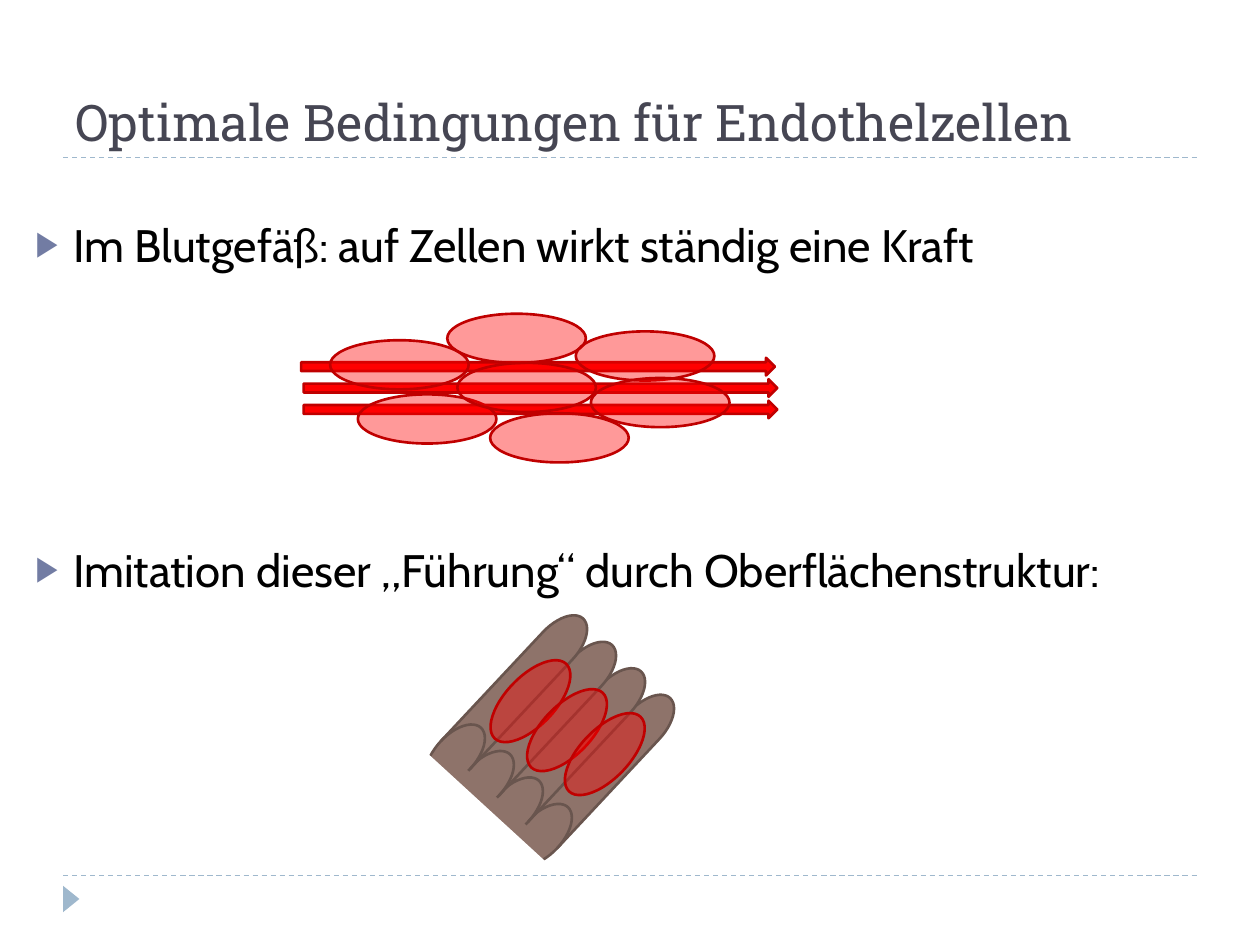
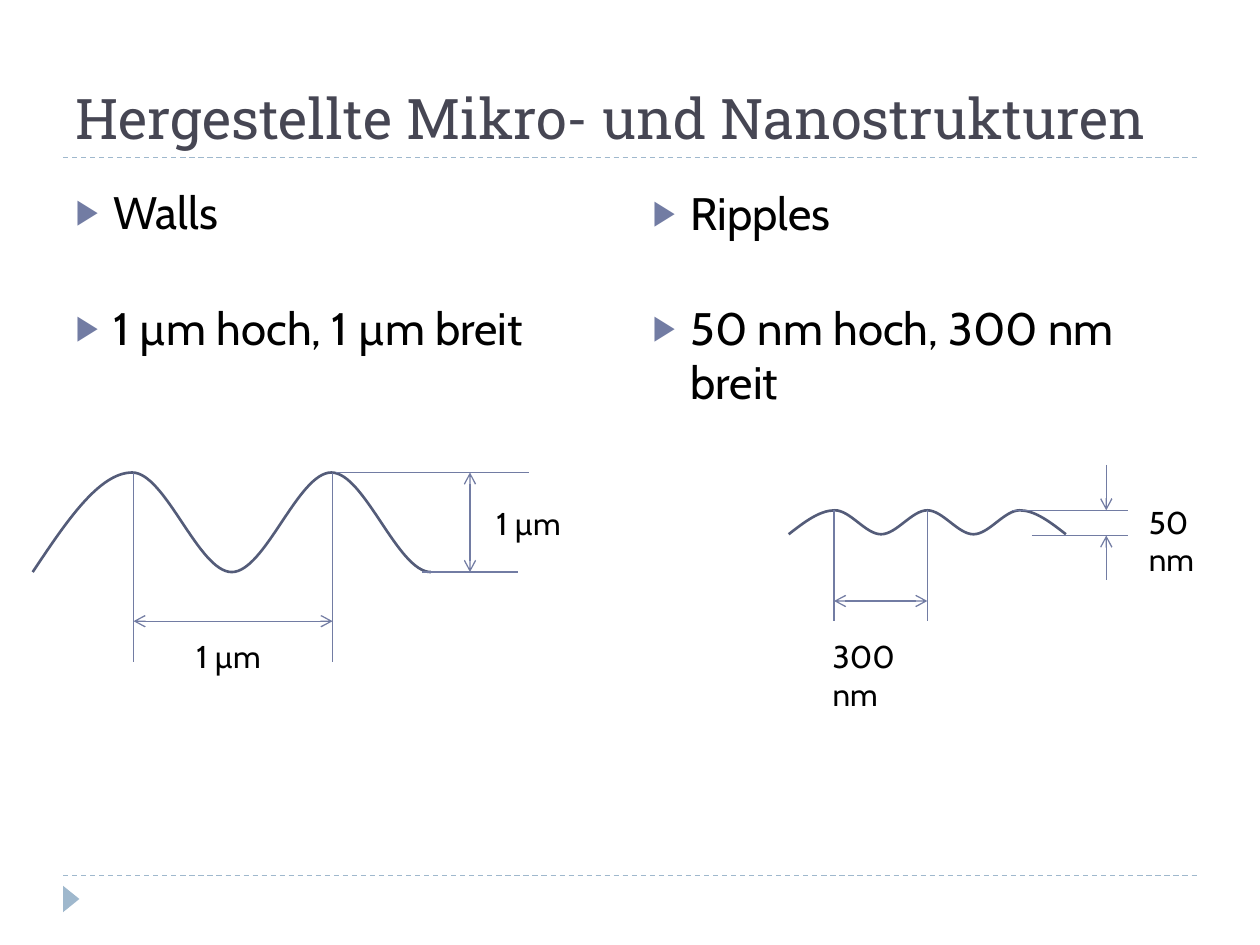
import pptx
import pptx.util
import pptx.dml.color
import pptx.enum.dml
import pptx.enum.shapes
import pptx.enum.text
import pptx.oxml
import pptx.oxml.ns

Inches, Pt = pptx.util.Inches, pptx.util.Pt
SHAPE = pptx.enum.shapes.MSO_SHAPE
ANCHOR = pptx.enum.text.MSO_ANCHOR
LEFT = pptx.enum.text.PP_ALIGN.LEFT
NO_FIT = pptx.enum.text.MSO_AUTO_SIZE.NONE

TITLE_FONT, BODY_FONT = "Roboto Slab", "Cabin"
TITLE_INK, BODY_INK = "464653", "000000"
RULE, BULLET, CURVE = "9FB8CD", "727CA3", "545C79"
FLOW, FLOW_EDGE = "FF0000", "C00000"
RIDGE, RIDGE_EDGE, PAPER = "8E736A", "69554E", "FFFFFF"
TITLE_BOX = (0.5, 0.17, 9, 1.08)


def rgb(hex_code):
    return pptx.dml.color.RGBColor.from_string(hex_code)


def assign(target, formats):
    for name, value in formats.items():
        setattr(target, name, value)


def place(part, box):
    assign(part, dict(zip(("left", "top", "width", "height"), map(Inches, box))))


def xml(parent, tag, **attributes):
    child = pptx.oxml.parse_xml(f"<a:{tag} {pptx.oxml.ns.nsdecls('a')}/>")
    for name, value in attributes.items():
        child.set(name, str(value))
    parent.append(child)
    return child


def paint(part, fill=None, edge=None, opacity=100):
    part.shadow.inherit = False
    if fill:
        part.fill.solid()
        part.fill.fore_color.rgb = rgb(fill)
        if opacity < 100:
            for color in part.element.spPr.iter(pptx.oxml.ns.qn("a:srgbClr")):
                xml(color, "alpha", val=opacity * 1000)
    else:
        part.fill.background()
    if edge:
        part.line.color.rgb = rgb(edge)
        part.line.width = Pt(1.5)
    else:
        part.line.fill.background()


def preset(shapes, kind, box, turn=0, **colours):
    part = shapes.add_shape(kind, *map(Inches, box))
    part.rotation = turn
    paint(part, **colours)
    return part


def rule(shapes, start, end, color=BULLET, dashed=False, heads=()):
    line = shapes.add_connector(pptx.enum.shapes.MSO_CONNECTOR.STRAIGHT,
                                *map(Inches, (*start, *end)))
    line.line.color.rgb = rgb(color)
    line.line.width = Pt(0.75)
    if dashed:
        line.line.dash_style = pptx.enum.dml.MSO_LINE.DASH
    for head in heads:
        xml(line.element.spPr.find(pptx.oxml.ns.qn("a:ln")), head, type="arrow")
    xml(line.element.spPr, "effectLst")
    return line


def write(paragraph, text, size, font=BODY_FONT, color=BODY_INK):
    run = paragraph.add_run()
    run.text = text
    assign(run.font, {"name": font, "size": Pt(size), "bold": False})
    run.font.color.rgb = rgb(color)


def title(slide, text, size):
    heading = slide.shapes.title
    place(heading, TITLE_BOX)
    assign(heading.text_frame, {"vertical_anchor": ANCHOR.BOTTOM, "auto_size": NO_FIT,
                                "word_wrap": True})
    paragraph = heading.text_frame.paragraphs[0]
    paragraph.alignment = LEFT
    write(paragraph, text, size, TITLE_FONT, TITLE_INK)


def bullets(placeholder, box, items):
    place(placeholder, box)
    frame = placeholder.text_frame
    assign(frame, {"vertical_anchor": ANCHOR.TOP, "auto_size": NO_FIT, "word_wrap": True})
    for number, (text, gap) in enumerate(items):
        paragraph = frame.add_paragraph() if number else frame.paragraphs[0]
        assign(paragraph, {"alignment": LEFT, "space_before": Pt(gap)})
        properties = paragraph._p.get_or_add_pPr()
        properties.set("marL", str(Inches(0.3)))
        properties.set("indent", str(-Inches(0.3)))
        xml(xml(properties, "buClr"), "srgbClr", val=BULLET)
        xml(properties, "buSzPct", val=76000)
        xml(properties, "buChar", char="\u25b6")
        write(paragraph, text, 26)


def label(slide, box, text):
    caption = slide.shapes.add_textbox(*map(Inches, box))
    caption.text_frame.word_wrap = True
    write(caption.text_frame.paragraphs[0], text, 18)


def master_frame(master, slide):
    marker = preset(slide.shapes, SHAPE.ISOSCELES_TRIANGLE, (0.46, 7.07, 0.21, 0.13), 90,
                    fill=RULE)
    rules = [rule(slide.shapes, (0.5, y), (9.5, y), RULE, dashed=True) for y in (6.95, 1.25)]
    for number, part in enumerate([*rules, marker]):
        part.element.xpath(".//p:cNvPr")[0].set("id", str(100 + number))
        master.shapes.element.append(part.element)


def cell(shapes, box, turn=0):
    preset(shapes, SHAPE.OVAL, box, turn, fill=FLOW, edge=FLOW_EDGE, opacity=40)


def blood_flow(slide, left, top):
    stream = slide.shapes.add_group_shape().shapes
    for row, shift in enumerate((0, 0.02, 0.02)):
        preset(stream, SHAPE.RIGHT_ARROW, (left + shift, top + 0.35 + 0.17 * row, 3.76, 0.14),
               fill=FLOW, edge=FLOW_EDGE)
    tissue = slide.shapes.add_group_shape().shapes
    for x, y in ((0.23, 0.21), (0.45, 0.64), (1.24, 0.39), (1.16, 0),
                 (1.5, 0.79), (2.18, 0.14), (2.3, 0.51)):
        cell(tissue, (left + x, top + y, 1.1, 0.39))


def ridged_surface(slide, left, top):
    surface = slide.shapes.add_group_shape().shapes
    for ridge in reversed(range(4)):
        preset(surface, SHAPE.FLOWCHART_DIRECT_ACCESS_STORAGE,
               (left + 0.23 * ridge, top + 0.21 * ridge, 1.78, 0.32), 133.1,
               fill=RIDGE, edge=RIDGE_EDGE)
    preset(surface, SHAPE.ROUNDED_RECTANGLE, (left + 0.69, top + 0.38, 0.12, 1.15), 133.1,
           fill=RIDGE)
    preset(surface, SHAPE.RECTANGLE, (left + 0.57, top + 0.4, 0.16, 1.31), 312.5,
           fill=PAPER, edge=PAPER)
    for x, y in ((0.67, -0.03), (0.96, 0.2), (1.26, 0.39)):
        cell(surface, (left + x, top + y, 0.82, 0.39), 313.8)


def wave(slide, box, half_waves):
    left, top, width, height = box
    pitch = width / half_waves
    knots = [(pitch * number, 0 if number % 2 else height)
             for number in range(half_waves + 1)]
    outline = slide.shapes.build_freeform(Inches(left), Inches(top + height))
    outline.add_line_segments([(Inches(left + x), Inches(top + y)) for x, y in knots[1:]],
                              close=False)
    curve = outline.convert_to_shape()
    paint(curve, edge=CURVE)
    segments = list(curve.element.spPr.iter(pptx.oxml.ns.qn("a:lnTo")))
    for number, segment in enumerate(segments):
        (x, start), (_, end) = knots[number:number + 2]
        leave = height / 2 if number == 0 else start
        arrive = height / 2 if number == half_waves - 1 else end
        bend = xml(segment.getparent(), "cubicBezTo")
        for share, y in ((1 / 3, leave), (2 / 3, arrive), (1, end)):
            xml(bend, "pt", x=Inches(x + pitch * share), y=Inches(y))
        segment.getparent().replace(segment, bend)


def period(slide, first, second, top, bottom, arrow_y):
    for x in (first, second):
        rule(slide.shapes, (x, top), (x, bottom))
    rule(slide.shapes, (first, arrow_y), (second, arrow_y), heads=("headEnd", "tailEnd"))


def walls_profile(slide, left, top):
    crest, trough = top, top + 0.79
    wave(slide, (left, top, 4.74, 0.79), 6)
    period(slide, left + 0.8, left + 2.38, crest, top + 1.5, top + 1.18)
    preset(slide.shapes, SHAPE.RECTANGLE, (left + 3.17, top - 0.51, 1.65, 2.36),
           fill=PAPER, edge=PAPER)
    rule(slide.shapes, (left + 2.41, crest), (left + 3.94, crest))
    rule(slide.shapes, (left + 3.09, trough), (left + 3.85, trough))
    rule(slide.shapes, (left + 3.47, trough), (left + 3.47, crest),
         heads=("headEnd", "tailEnd"))
    for x, y in ((1.2, 1.26), (3.58, 0.2)):
        label(slide, (left + x, top + y, 0.75, 0.4), "1 \u00b5m")


def ripples_profile(slide, left, top):
    crest, trough = top, top + 0.2
    wave(slide, (left, top, 2.2, 0.19), 6)
    period(slide, left + 0.36, left + 1.1, crest, top + 0.88, top + 0.72)
    rule(slide.shapes, (left + 1.77, crest), (left + 2.69, crest))
    rule(slide.shapes, (left + 1.93, trough), (left + 2.69, trough))
    for y, tip in ((crest - 0.36, crest), (trough + 0.35, trough)):
        rule(slide.shapes, (left + 2.52, y), (left + 2.52, tip), heads=("tailEnd",))
    label(slide, (left + 0.25, top + 0.96, 0.97, 0.4), "300 nm")
    label(slide, (left + 2.76, top - 0.11, 0.85, 0.4), "50 nm")


def conditions_slide(deck):
    slide = deck.slides.add_slide(deck.slide_layouts[1])
    title(slide, "Optimale Bedingungen für Endothelzellen", 28.8)
    bullets(slide.placeholders[1], (0.18, 1.67, 9, 5.4), [
        ("Im Blutgefäß: auf Zellen wirkt ständig eine Kraft", 6),
        ("Imitation dieser „Führung“ durch Oberflächenstruktur:", 154.5)])
    blood_flow(slide, 2.39, 2.49)
    ridged_surface(slide, 3.13, 5.4)
    return slide


def structures_slide(deck):
    slide = deck.slides.add_slide(deck.slide_layouts[4])
    title(slide, "Hergestellte Mikro- und Nanostrukturen", 32)
    columns = ((1, 0.5, 1.41, "Walls", "1 µm hoch, 1 µm breit"),
               (3, 5.08, 1.42, "Ripples", "50 nm hoch, 300 nm breit"))
    for index, left, top, name, dimensions in columns:
        bullets(slide.placeholders[index], (left, top, 4.42, 0.75), [(name, 6)])
        bullets(slide.placeholders[index + 1], (left, 2.33, 4.42, 4.42), [(dimensions, 6)])
    walls_profile(slide, 0.26, 3.75)
    ripples_profile(slide, 6.26, 4.05)


deck = pptx.Presentation()
assign(deck, {"slide_width": Inches(10), "slide_height": Inches(7.5)})
conditions = conditions_slide(deck)
master_frame(deck.slide_master, conditions)
structures_slide(deck)
deck.save("out.pptx")
